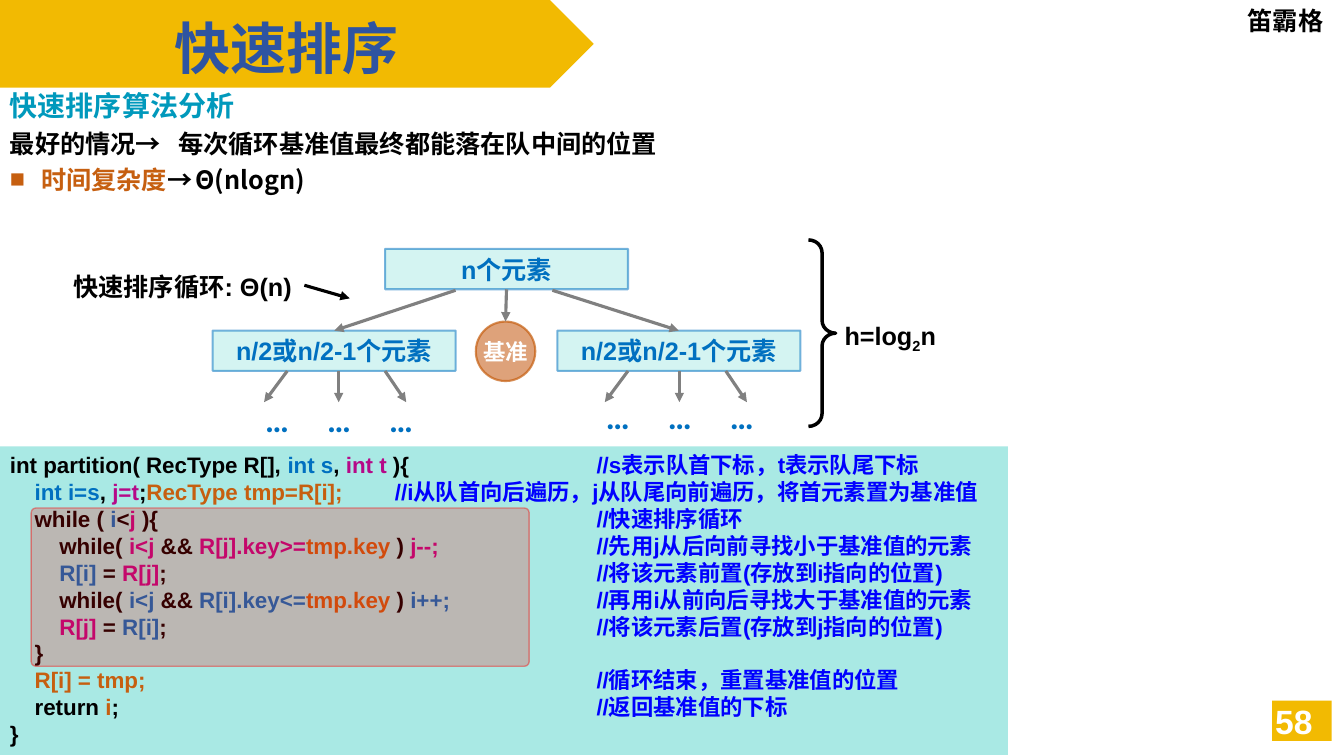
from lxml import etree
from pptx import Presentation
from pptx.dml.color import RGBColor
from pptx.enum.lang import MSO_LANGUAGE_ID
from pptx.enum.shapes import MSO_CONNECTOR, MSO_SHAPE
from pptx.enum.text import MSO_ANCHOR, MSO_AUTO_SIZE, PP_ALIGN
from pptx.oxml.ns import qn
from pptx.util import Inches, Pt

BLACK, WHITE, GREY = "000000", "FFFFFF", "808080"
GOLD, ORANGE, PEACH = "F2BA02", "C65F10", "DEA27A"
BLUE, NAVY, TEAL, COMMENT = "0070C0", "2E54A1", "0099BC", "0000FF"
PINK, RED, PALE, MINT = "B50988", "FF0000", "D4F4F2", "A9E9E4"


def rgb(value):
    return RGBColor.from_string(value)


def cells(n):
    """Length of n grid columns or rows; a grid cell is a tenth of an inch."""
    return Inches(n / 10)


def add_xml(parent, tag, **attrs):
    return etree.SubElement(parent, qn(tag), attrs)


def set_alpha(fill, percent):
    """Make a solid fill partly transparent; percent is its opacity."""
    color = fill._xPr.find(qn("a:solidFill"))[0]
    add_xml(color, "a:alpha", val=str(percent * 1000))


class Deck:
    """Holds the presentation, the current slide and the text style."""

    def __init__(self, columns, rows):
        self.prs = Presentation()
        self.prs.slide_width, self.prs.slide_height = cells(columns), cells(rows)
        self.slide = self.prs.slides.add_slide(self.prs.slide_layouts[5])

    def fill_text(self, sp, paras, size, font="Arial", align=PP_ALIGN.LEFT,
                  spacing=None, anchor=MSO_ANCHOR.TOP, wrap=True):
        """Fill sp with paragraphs, each a list of (text, colour) runs."""
        tf = sp.text_frame
        tf.word_wrap, tf.vertical_anchor = wrap, anchor
        tf.auto_size = MSO_AUTO_SIZE.NONE
        for i, runs in enumerate(paras):
            p = tf.add_paragraph() if i else tf.paragraphs[0]
            p.alignment, p.line_spacing = align, spacing
            for text, color in runs:
                r = p.add_run()
                r.text = text
                r.font.name, r.font.size, r.font.bold = font, Pt(size), True
                r.font.color.rgb = rgb(color)
                r.font.language_id = MSO_LANGUAGE_ID.SIMPLIFIED_CHINESE
        return tf.paragraphs

    def title(self, box, text, size, font, color):
        sp = self.slide.shapes.title
        sp.left, sp.top, sp.width, sp.height = map(cells, box)
        self.fill_text(sp, [[(text, color)]], size, font, wrap=False)
        self.slide.shapes._spTree.append(sp._element)  # bring to front

    def text(self, box, paras, size, **style):
        sp = self.slide.shapes.add_textbox(*map(cells, box))
        return self.fill_text(sp, paras, size, **style)

    def shape(self, kind, box, fill=None, line=None, width=1.5, alpha=None, line_alpha=None):
        sp = self.slide.shapes.add_shape(kind, *map(cells, box))
        sp.shadow.inherit = False
        if fill:
            sp.fill.solid()
            sp.fill.fore_color.rgb = rgb(fill)
            if alpha:
                set_alpha(sp.fill, alpha)
        else:
            sp.fill.background()
        if line:
            sp.line.color.rgb, sp.line.width = rgb(line), Pt(width)
            if line_alpha:
                set_alpha(sp.line.fill, line_alpha)
        else:
            sp.line.fill.background()
        return sp

    def node(self, x, y, text):
        sp = self.shape(MSO_SHAPE.RECTANGLE, (x, y, 24.1, 4), PALE, BLUE, line_alpha=52)
        self.fill_text(sp, [[(text, BLUE)]], 18, align=PP_ALIGN.CENTER, anchor=MSO_ANCHOR.MIDDLE)
        return sp

    def arrow(self, x1, y1, x2, y2, color=GREY):
        c = self.slide.shapes.add_connector(MSO_CONNECTOR.STRAIGHT, *map(cells, (x1, y1, x2, y2)))
        c.line.color.rgb, c.line.width = rgb(color), Pt(2.25)
        add_xml(c.line._get_or_add_ln(), "a:tailEnd", type="triangle")
        add_xml(c._element.spPr, "a:effectLst")
        return c

    def branches(self, x, y, gap=6.15):
        """Three arrows leaving a node, with a row of ellipses below them."""
        for start, end in ((10.3, 8), (15.4, 15.4), (20, 22.1)):
            self.arrow(x + start, 36.8, x + end, 39.9)
        sp = self.slide.shapes.add_textbox(*map(cells, (x, y, 30.8, 5.1)))
        sp.text_frame.margin_left = cells(8.1)
        p = sp.text_frame.paragraphs[0]
        tabs = add_xml(p._p.get_or_add_pPr(), "a:tabLst")
        for i in (1, 2):
            add_xml(tabs, "a:tab", pos=str(cells(i * gap)), algn="l")
        self.fill_text(sp, [[("…\t…\t…", BLUE)]], 24, "Calibri", spacing=1.1)


CODE = [
    [("int partition( RecType R[], ", BLACK), ("int s", BLUE), (", ", BLACK),
     ("int t", PINK), (" ){", BLACK)],
    [("    int i=s", BLUE), (", ", BLACK), ("j=t", PINK), (";", BLACK),
     ("RecType tmp=R[i];", ORANGE)],
    [("    while ( ", BLACK), ("i", BLUE), ("<", BLACK), ("j", PINK), (" ){", BLACK)],
    [("        while( ", BLACK), ("i<j ", PINK), ("&&", BLACK), (" R[j].key>=", PINK),
     ("tmp.key ", ORANGE), (")", BLACK), (" j--;", PINK)],
    [("        R[i]", BLUE), (" = ", BLACK), ("R[j]", PINK), (";", BLACK)],
    [("        while( ", BLACK), ("i<j ", BLUE), ("&&", BLACK), (" R[i].key<=", BLUE),
     ("tmp.key ", ORANGE), (") ", BLACK), ("i++;", BLUE)],
    [("        R[j]", PINK), (" = ", BLACK), ("R[i]", BLUE), (";", BLACK)],
    [("    }", BLACK)],
    [("    R[i] = tmp;", ORANGE)],
    [("    return ", BLACK), ("i", ORANGE), (";", BLACK)],
    [("}", BLACK)],
]
COMMENTS = [
    "//s表示队首下标，t表示队尾下标",
    "//i从队首向后遍历，j从队尾向前遍历，将首元素置为基准值",
    "//快速排序循环",
    "//先用j从后向前寻找小于基准值的元素",
    "//将该元素前置(存放到i指向的位置)",
    "//再用i从前向后寻找大于基准值的元素",
    "//将该元素后置(存放到j指向的位置)",
    "//循环结束，重置基准值的位置",
    "//返回基准值的下标",
]
LONG_COMMENT, AFTER_LOOP = 1, 7


def add_header(deck):
    deck.shape(MSO_SHAPE.RECTANGLE, (126.2, 69.5, 5.9, 4), GOLD)
    deck.shape(MSO_SHAPE.PENTAGON, (0, 0, 58.9, 8.7), GOLD)
    deck.text((122.8, 0, 10.5, 4), [[("笛霸格", BLACK)]], 18, font="Calibri")
    deck.text((124.2, 69.5, 7, 4), [[("58", WHITE)]], 24,
              align=PP_ALIGN.RIGHT, anchor=MSO_ANCHOR.MIDDLE)
    deck.title((16.3, 0.8, 24.2, 7.7), "快速排序", 40, "Calibri", NAVY)


def add_analysis(deck):
    deck.text((0, 7.6, 53.3, 4.7), [[("快速排序算法分析", TEAL)]], 20, font="Calibri", spacing=1.2)
    case, cost = deck.text(
        (0, 11.6, 54.9, 8.3),
        [[("最好的情况→", BLACK)], [("时间复杂度", ORANGE), ("→", BLACK)]],
        18, font="Calibri", spacing=1.2)
    pPr = cost._p.get_or_add_pPr()
    pPr.set("marL", str(cells(3.1)))
    pPr.set("indent", str(-cells(3.1)))
    add_xml(pPr, "a:buFont", typeface="Arial")
    add_xml(pPr, "a:buChar", char="■")
    position, theta = deck.text(
        (16.7, 11.6, 51.7, 8.3),
        [[("每次循环基准值最终都能落在队中间的位置", BLACK)], [("Θ(nlogn)", BLACK)]],
        18, font="Noto Sans CJK SC", spacing=1.2)
    theta._p.get_or_add_pPr().set("marL", str(cells(1.7)))


def add_tree(deck):
    root = deck.node(38.2, 24.7, "n个元素")
    halves = [deck.node(x, 32.8, "n/2或n/2-1个元素") for x in (21.1, 55.3)]
    pivot = deck.shape(MSO_SHAPE.OVAL, (47.2, 31.9, 5.9, 5.9), PEACH, ORANGE, line_alpha=69)
    deck.fill_text(pivot, [[("基准", WHITE)]], 16, align=PP_ALIGN.CENTER,
                   anchor=MSO_ANCHOR.MIDDLE, wrap=False)
    for x, half in zip((45.2, 54.8), halves):
        deck.arrow(x, 28.8, x, 32.8).end_connect(half, 0)
    stem = deck.arrow(50.2, 28.7, 50.2, 31.9)
    stem.begin_connect(root, 2)
    stem.end_connect(pivot, 0)
    deck.branches(18.2, 38.7)
    deck.branches(52, 38.4)

    brace = deck.shape(MSO_SHAPE.LEFT_BRACE, (80.2, 23.8, 2.7, 18.5), line=BLACK, width=2.5)
    brace.rotation = 180
    brace.adjustments[0] = 0.47
    height, = deck.text((82.8, 30.6, 15.5, 4.3),
                        [[("h=log", BLACK), ("2", BLACK), ("n", BLACK)]], 18, spacing=1.2)
    height.runs[1]._r.get_or_add_rPr().set("baseline", "-25000")
    deck.text((6.3, 25.8, 27.7, 4.6), [[("快速排序循环: Θ(n)", BLACK)]], 18, spacing=1.2)
    deck.arrow(30.2, 28.3, 34.7, 29.6, BLACK)


def add_code(deck):
    panel = deck.shape(MSO_SHAPE.RECTANGLE, (0, 44.3, 100, 30.6), MINT)
    deck.fill_text(panel, CODE, 16)
    loop = deck.shape(MSO_SHAPE.ROUNDED_RECTANGLE, (3.1, 50.4, 49.4, 15.7),
                      RED, RED, width=1, alpha=21, line_alpha=40)
    loop.adjustments[0] = 0.03
    notes = deck.text((38.2, 44.3, 63, 27.9), [[(note, COMMENT)] for note in COMMENTS], 16)
    for i, p in enumerate(notes):
        if i != LONG_COMMENT:
            p._p.get_or_add_pPr().set("marL", str(cells(20)))
    notes[AFTER_LOOP].space_before = Pt(19)


def main():
    deck = Deck(133.33, 75)
    add_header(deck)
    add_analysis(deck)
    add_tree(deck)
    add_code(deck)
    deck.prs.save("out.pptx")


if __name__ == "__main__":
    main()
